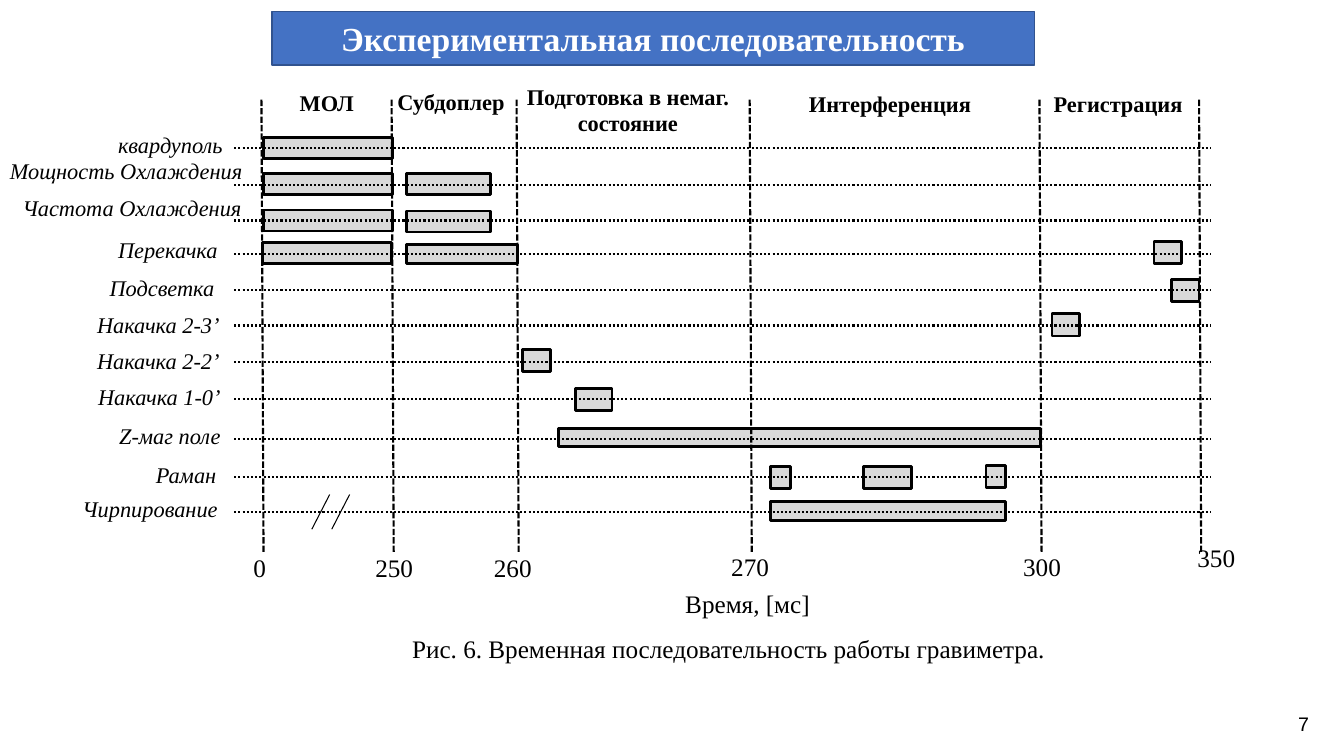
from lxml import etree
from pptx import Presentation
from pptx.dml.color import RGBColor
from pptx.enum.dml import MSO_LINE
from pptx.enum.shapes import MSO_CONNECTOR, MSO_SHAPE
from pptx.enum.text import MSO_ANCHOR, MSO_AUTO_SIZE, PP_ALIGN
from pptx.oxml.ns import qn
from pptx.util import Pt

PX = 9525
BLACK = RGBColor(0x00, 0x00, 0x00)
WHITE = RGBColor(0xFF, 0xFF, 0xFF)
GREY = RGBColor(0xD9, 0xD9, 0xD9)
BLUE = RGBColor(0x44, 0x72, 0xC4)
DARK_BLUE = RGBColor(0x31, 0x53, 0x8F)
SERIF = "Times New Roman"
LEFT, CENTER = PP_ALIGN.LEFT, PP_ALIGN.CENTER
DOTTED, DASHED = MSO_LINE.ROUND_DOT, MSO_LINE.SQUARE_DOT
MIDDLE, NO_FIT = MSO_ANCHOR.MIDDLE, MSO_AUTO_SIZE.NONE
STRAIGHT, RECTANGLE = MSO_CONNECTOR.STRAIGHT, MSO_SHAPE.RECTANGLE
TITLE_ONLY = 5

CHANNELS = [
    ("квардуполь", -146, 25, 46, [(2, 36, 123, 20)]),
    ("Мощность Охлаждения", -249, 50, 81, [(2, 70, 123, 20), (138, 70, 80, 20)]),
    ("Частота Охлаждения", -237, 85, 115, [(2, 105, 123, 20), (138, 106, 80, 20)]),
    ("Перекачка", -146, 125, 147,
     [(1, 136, 123, 20), (138, 138, 106, 18), (850, 135, 26, 21)]),
    ("Подсветка", -154, 161, 181, [(867, 171, 26, 21)]),
    ("Накачка 2-3’", -166, 197, 215, [(753, 204, 26, 21)]),
    ("Накачка 2-2’", -166, 231, 250, [(249, 238, 26, 21)]),
    ("Накачка 1-0’", -165, 265, 285, [(299, 275, 35, 21)]),
    ("Z-маг поле", -145, 302, 323, [(283, 313, 459, 17)]),
    ("Раман", -110, 339, 359,
     [(485, 349, 19, 21), (573, 349, 46, 21), (690, 348, 19, 21)]),
    ("Чирпирование", -180, 372, 393, [(485, 383, 224, 18)]),
]
MOMENTS = [
    ("0", 0, -17, 426), ("250", 124, 99, 426), ("260", 243, 212, 426),
    ("270", 465, 438, 425), ("300", 741, 716, 425), ("350", 893, 882, 417),
]
PHASES = [
    ("МОЛ", 27, -15, 186, LEFT),
    ("Субдоплер", 120, -16, 186, LEFT),
    ("Подготовка в немаг. состояние", 233, -21, 232, CENTER),
    ("Интерференция", 512, -14, 186, LEFT),
    ("Регистрация", 745, -14, 186, LEFT),
]


def style_paragraph(paragraph, size, color=BLACK, align=LEFT, face=SERIF,
                    bold=False, italic=False):
    """Set the alignment and font of a paragraph."""
    paragraph.alignment = align
    font = paragraph.font
    font.name, font.size = face, Pt(size)
    font.bold, font.italic = bold, italic
    font.color.rgb = color


def add_label(slide, text, x, y, width, height, size, **style):
    """Place one wrapped text label."""
    label = slide.shapes.add_textbox(x * PX, y * PX, width * PX, height * PX)
    frame = label.text_frame
    frame.word_wrap = True
    frame.text = text
    style_paragraph(frame.paragraphs[0], size, **style)


def add_rule(slide, x1, y1, x2, y2, weight=1.5, dash=None):
    """Draw a straight black line without shadow."""
    rule = slide.shapes.add_connector(STRAIGHT, x1 * PX, y1 * PX, x2 * PX, y2 * PX)
    rule.line.color.rgb = BLACK
    rule.line.width = Pt(weight)
    if dash:
        rule.line.dash_style = dash
    etree.SubElement(rule.element.spPr, qn("a:effectLst"))


def add_pulse(slide, x, y, width, height):
    """Draw a grey bar for the time a channel is on."""
    pulse = slide.shapes.add_shape(RECTANGLE, x * PX, y * PX, width * PX, height * PX)
    pulse.shadow.inherit = False
    pulse.fill.solid()
    pulse.fill.fore_color.rgb = GREY
    pulse.line.color.rgb = BLACK
    pulse.line.width = Pt(2)


def build_title(slide, x, y, width, height):
    """Turn the title placeholder into a rounded blue banner."""
    title = slide.shapes.title
    title.left, title.top = x * PX, y * PX
    title.width, title.height = width * PX, height * PX
    outline = etree.SubElement(title.element.spPr, qn("a:prstGeom"), prst="roundRect")
    etree.SubElement(outline, qn("a:avLst"))
    title.fill.solid()
    title.fill.fore_color.rgb = BLUE
    title.line.color.rgb = DARK_BLUE
    title.line.width = Pt(1)
    frame = title.text_frame
    frame.text = "Экспериментальная последовательность"
    frame.word_wrap = True
    frame.auto_size = NO_FIT
    frame.vertical_anchor = MIDDLE
    style_paragraph(frame.paragraphs[0], 24, color=WHITE, align=CENTER, bold=True)


def build_channels(slide, x, y):
    """Draw pulses, then the name and dotted base line of each channel."""
    for *_, pulses in CHANNELS:
        for dx, dy, width, height in pulses:
            add_pulse(slide, x + dx, y + dy, width, height)
    for name, dx, dy, base, _ in CHANNELS:
        add_label(slide, name, x + dx, y + dy, 248, 36, 16, italic=True)
        add_rule(slide, x - 26, y + base, x + 904, y + base, dash=DOTTED)


def build_time_axis(slide, x, y):
    """Draw time marks, phase headings and the axis break."""
    for time, mark, dx, dy in MOMENTS:
        add_rule(slide, x + mark, y, x + mark + 2, y + 432, dash=DASHED)
        add_label(slide, time, x + dx, y + dy, 100, 38, 18)
    for phase, dx, dy, width, align in PHASES:
        add_label(slide, phase, x + dx, y + dy, width, 36, 16, align=align, bold=True)
    for dx in (48, 67):
        add_rule(slide, x + dx + 17, y + 376, x + dx, y + 409, weight=0.75)


def build_captions(slide, x, y, width):
    """Place the axis title and the figure caption."""
    add_label(slide, "Время, [мс]", x + 18, y, width, 38, 18, align=CENTER)
    add_label(slide, "Рис. 6. Временная последовательность работы гравиметра.",
              x, y + 42, width, 38, 18, align=CENTER)


def main():
    """Build and save the slide."""
    deck = Presentation()
    deck.slide_width, deck.slide_height = 1280 * PX, 720 * PX
    slide = deck.slides.add_slide(deck.slide_layouts[TITLE_ONLY])
    build_title(slide, 259, 11, 726, 51)
    build_channels(slide, 249, 95)
    build_time_axis(slide, 249, 95)
    build_captions(slide, 264, 556, 860)
    add_label(slide, "7", 1227, 673, 37, 33, 14, face="Arial")
    deck.save("out.pptx")


if __name__ == "__main__":
    main()
